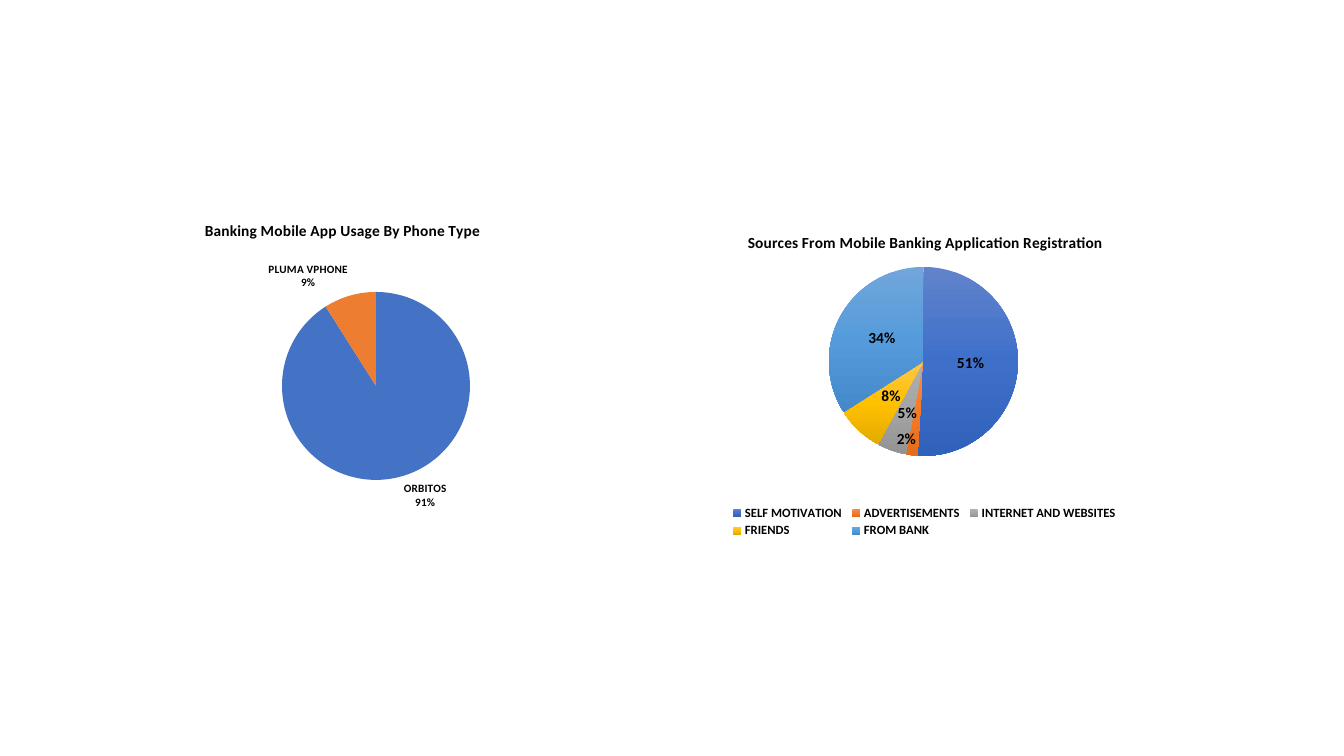
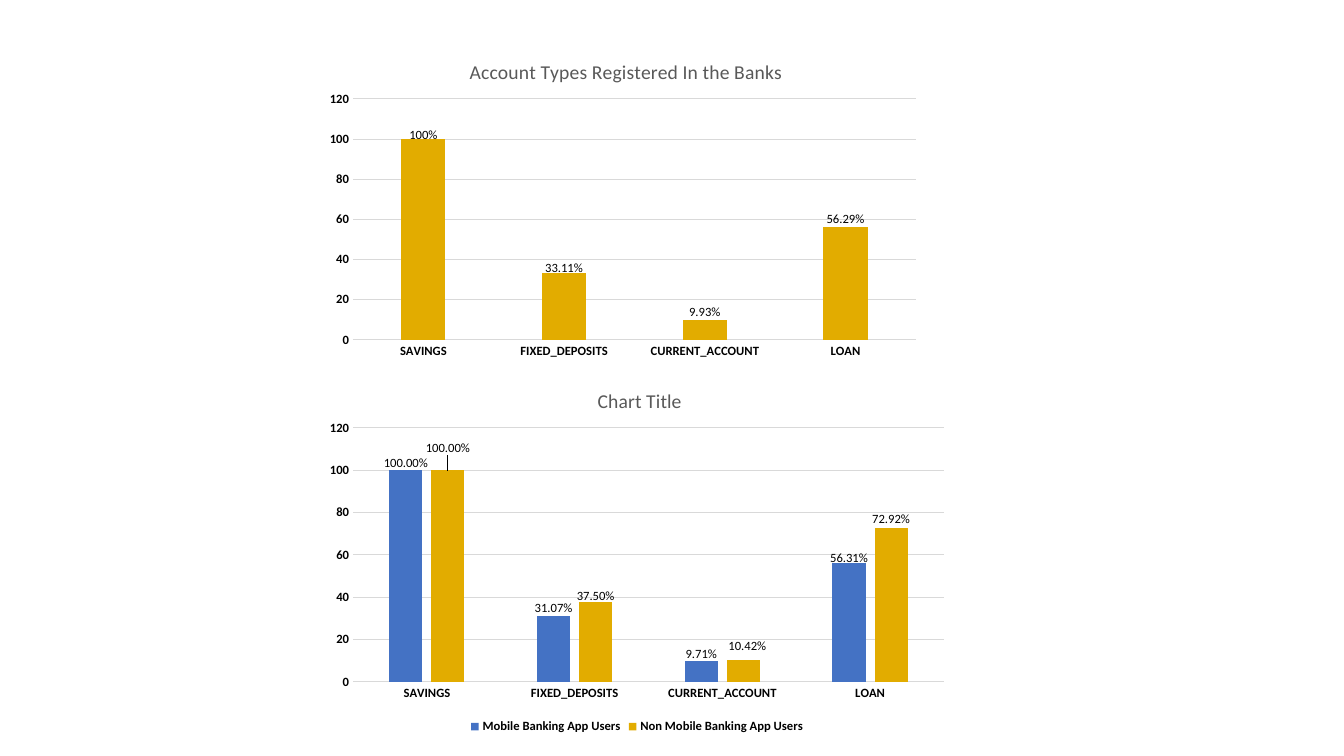
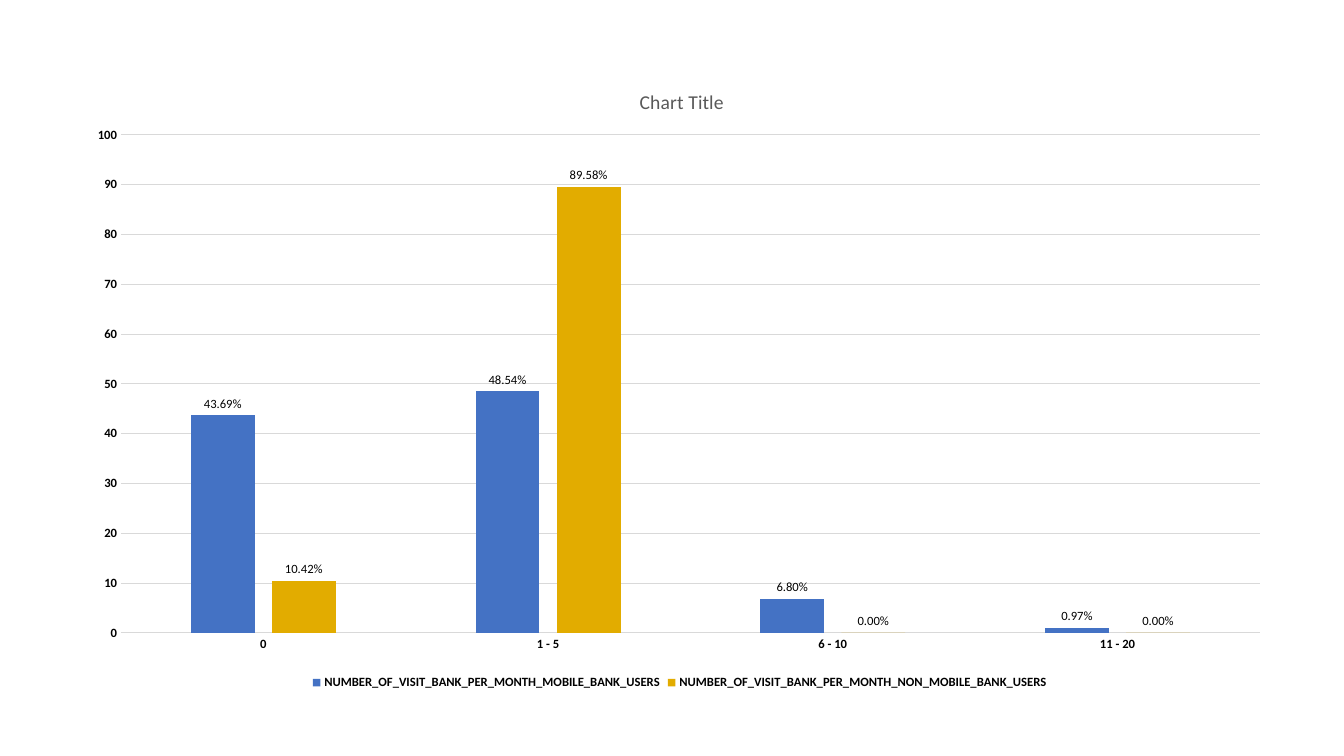
"""Build three pages of survey charts about mobile banking."""
import collections
import copy

import lxml.etree
import pptx
import pptx.chart.data
import pptx.dml.color
import pptx.enum.chart
import pptx.oxml.ns
import pptx.util

EMU_PER_PX = 914400 / 100.8
FONT = "Calibri"
COLOURS = {
    "text": "000000",
    "muted": "595959",
    "grid": "D9D9D9",
    "blue": "4472C4",
    "orange": "ED7D31",
    "gold": "E2AC00",
}
GRADIENTS = [
    ("6183CB", "3E70CA", "3062BB"),
    ("F18C57", "F67B28", "E56C19"),
    ("AFAFAF", "A5A5A5", "939393"),
    ("FFC64B", "FFC000", "E3AB00"),
    ("71A6DB", "559BDB", "448ACA"),
]
ACCOUNTS = ["SAVINGS", "FIXED_DEPOSITS", "CURRENT_ACCOUNT", "LOAN"]
VISITS = ["0", "1 - 5", "6 - 10", "11 - 20"]
POSITION = pptx.enum.chart.XL_LABEL_POSITION
CHART_TYPE = pptx.enum.chart.XL_CHART_TYPE
Box = collections.namedtuple("Box", "left top width height")


def px(length):
    """Turn pixels into EMU."""
    return pptx.util.Emu(round(length * EMU_PER_PX))


def rgb(value):
    """Turn a hex string into a colour."""
    return pptx.dml.color.RGBColor.from_string(value)


def style_font(font, size, bold=False, colour="text"):
    """Set face, size, weight and colour of a font."""
    font.name = FONT
    font.size = pptx.util.Pt(size)
    font.bold = bold
    font.color.rgb = rgb(COLOURS[colour])


def set_layout(parent, index, box, **lengths):
    """Give a chart part a manual layout, with lengths in px of the chart box."""
    qn = pptx.oxml.ns.qn
    for old in parent.findall(qn("c:layout")):
        parent.remove(old)
    layout = lxml.etree.Element(qn("c:layout"))
    manual = lxml.etree.SubElement(layout, qn("c:manualLayout"))
    if "inner" in lengths:
        lxml.etree.SubElement(manual, qn("c:layoutTarget")).set("val", "inner")
        lengths.pop("inner")
    if lengths.pop("edge", True):
        for mode in ("xMode", "yMode"):
            lxml.etree.SubElement(manual, qn("c:" + mode)).set("val", "edge")
    for name, length in lengths.items():
        total = box.width if name in "xw" else box.height
        lxml.etree.SubElement(manual, qn("c:" + name)).set("val", f"{length / total:.4f}")
    parent.insert(index, layout)


def nudge_labels(labels, box, nudges):
    """Shift single data labels from their usual place by px."""
    qn = pptx.oxml.ns.qn
    group = labels._element
    shared = [child for child in group if child.tag != qn("c:showLeaderLines")]
    for order, (index, (right, down)) in enumerate(sorted(nudges.items())):
        label = lxml.etree.Element(qn("c:dLbl"))
        lxml.etree.SubElement(label, qn("c:idx")).set("val", str(index))
        label.extend([copy.deepcopy(child) for child in shared])
        set_layout(label, 1, box, edge=False, x=right, y=down)
        group.insert(order, label)


def add_chart(page, kind, box, plot, title, title_at, title_style, categories, series):
    """Add a chart with its title and plot area and return it."""
    data = pptx.chart.data.CategoryChartData()
    data.categories = categories
    for name, values in series:
        data.add_series(name, values)
    chart = page.shapes.add_chart(kind, *map(px, box), data).chart
    style_font(chart.font, 10)
    chart.has_legend = False
    chart.has_title = True
    chart.chart_title.text_frame.text = title
    for span in chart.chart_title.text_frame.paragraphs[0].runs:
        style_font(span.font, *title_style)
    set_layout(chart.chart_title._element, 1, box, x=title_at[0], y=title_at[1])
    area = chart._chartSpace.find(".//" + pptx.oxml.ns.qn("c:plotArea"))
    set_layout(area, 0, box, inner=True, x=plot.left, y=plot.top, w=plot.width, h=plot.height)
    return chart


def add_legend(chart):
    """Put a legend below the plot."""
    chart.has_legend = True
    chart.legend.position = pptx.enum.chart.XL_LEGEND_POSITION.BOTTOM
    chart.legend.include_in_layout = False
    style_font(chart.legend.font, 9, True)


def add_pie(page, box, plot, title, title_at, categories, values, label_size, position):
    """Add a pie chart with percent labels and return it."""
    chart = add_chart(page, CHART_TYPE.PIE, box, plot, title, title_at, (11, True),
                      categories, [("Series 1", values)])
    chart.plots[0].vary_by_categories = True
    labels = chart.plots[0].series[0].data_labels
    labels.show_value = False
    labels.show_percentage = True
    labels.number_format = "0%"
    labels.number_format_is_linked = False
    labels.position = position
    style_font(labels.font, label_size, True)
    return chart


def add_phone_pie(page, box):
    """Add the pie of phone types."""
    chart = add_pie(page, box, Box(225, 84, 188, 188),
                    "Banking Mobile App Usage By Phone Type", (145, 9),
                    ["ORBITOS", "PLUMA VPHONE"], [91, 9], 8, POSITION.OUTSIDE_END)
    series = chart.plots[0].series[0]
    for index, colour in enumerate(("blue", "orange")):
        fill = series.points[index].format.fill
        fill.solid()
        fill.fore_color.rgb = rgb(COLOURS[colour])
    series.data_labels.show_category_name = True
    qn = pptx.oxml.ns.qn
    separator = lxml.etree.Element(qn("c:separator"))
    separator.text = "\n"
    group = series.data_labels._element
    last_flag = [child for child in group
                 if child.tag in (qn("c:showPercent"), qn("c:showBubbleSize"))][-1]
    last_flag.addnext(separator)


def add_source_pie(page, box):
    """Add the pie of registration sources."""
    chart = add_pie(page, box, Box(213, 54, 189, 189),
                    "Sources From Mobile Banking Application Registration", (129, 16),
                    ["SELF MOTIVATION", "ADVERTISEMENTS", "INTERNET AND WEBSITES",
                     "FRIENDS", "FROM BANK"],
                    [51, 2, 5, 8, 34], 11, POSITION.CENTER)
    series = chart.plots[0].series[0]
    fills = [series.points[index].format.fill for index in range(len(GRADIENTS))]
    for fill in fills:
        fill.gradient()
        fill.gradient_angle = 270
    for stops in series._element.iter(pptx.oxml.ns.qn("a:gsLst")):
        stops.insert(1, copy.deepcopy(stops[0]))
    for fill, shades in zip(fills, GRADIENTS):
        for stop, shade, place in zip(fill.gradient_stops, shades, (0, 0.5, 1)):
            stop.color.rgb = rgb(shade)
            stop.position = place
    nudge_labels(series.data_labels, box, {1: (-11, 31), 2: (0, 7)})
    add_legend(chart)
    set_layout(chart.legend._element, 1, box, x=111, y=290, w=395, h=38)


def style_axes(chart, top, step):
    """Style both axes and the grid of a column chart."""
    for axis in (chart.category_axis, chart.value_axis):
        axis.major_tick_mark = pptx.enum.chart.XL_TICK_MARK.NONE
        axis.minor_tick_mark = pptx.enum.chart.XL_TICK_MARK.NONE
        style_font(axis.tick_labels.font, 9, True)
    chart.value_axis.minimum_scale = 0
    chart.value_axis.maximum_scale = top
    chart.value_axis.major_unit = step
    chart.value_axis.has_major_gridlines = True
    chart.value_axis.format.line.fill.background()
    for line in (chart.category_axis.format.line, chart.value_axis.major_gridlines.format.line):
        line.color.rgb = rgb(COLOURS["grid"])
        line.width = pptx.util.Pt(0.75)


def add_columns(page, box, plot, title, title_at, categories, series, colours,
                top, step, number_format='0.00"%"', nudges=()):
    """Add a clustered column chart with percent labels."""
    chart = add_chart(page, CHART_TYPE.COLUMN_CLUSTERED, box, plot, title, title_at,
                      (14, False, "muted"), categories, series)
    columns = chart.plots[0]
    columns.vary_by_categories = False
    columns.gap_width = 219
    columns.overlap = -27
    style_axes(chart, top, step)
    for group, colour in zip(columns.series, colours):
        group.format.fill.solid()
        group.format.fill.fore_color.rgb = rgb(COLOURS[colour])
        labels = group.data_labels
        labels.show_value = True
        labels.number_format = number_format
        labels.number_format_is_linked = False
        labels.position = POSITION.OUTSIDE_END
        style_font(labels.font, 9)
    for group, shifts in zip(columns.series, nudges):
        nudge_labels(group.data_labels, box, dict(enumerate(shifts)))
    if len(series) > 1:
        add_legend(chart)


def build_pie_page(page):
    """Place the two pies side by side."""
    add_phone_pie(page, Box(57, 208, 615, 318))
    add_source_pie(page, Box(616, 213, 615, 331))


def build_account_page(page):
    """Stack the two charts of account types."""
    add_columns(page, Box(317, 37, 611, 328), Box(36, 62, 563, 241),
                "Account Types Registered In the Banks", (149, 18), ACCOUNTS,
                [("Series 1", [100, 33.11, 9.93, 56.29])], ["gold"], 120, 20,
                'General"%"', [[(0, 7), (0, 6), (0, 4), (0, 4)]])
    add_columns(page, Box(317, 365, 640, 373), Box(36, 63, 591, 254),
                "Chart Title", (277, 19), ACCOUNTS,
                [("Mobile Banking App Users", [100, 31.07, 9.71, 56.31]),
                 ("Non Mobile Banking App Users", [100, 37.5, 10.42, 72.92])],
                ["blue", "gold"], 120, 20,
                nudges=[[(0, 4), (0, 4), (0, 4), (0, 7)],
                        [(0, -11), (0, 5), (4, -2), (0, 3)]])


def build_visit_page(page):
    """Fill the page with the chart of bank visits."""
    add_columns(page, Box(74, 61, 1211, 633), Box(47, 74, 1139, 498),
                "Chart Title", (562, 24), VISITS,
                [("NUMBER_OF_VISIT_BANK_PER_MONTH_MOBILE_BANK_USERS",
                  [43.69, 48.54, 6.8, 0.97]),
                 ("NUMBER_OF_VISIT_BANK_PER_MONTH_NON_MOBILE_BANK_USERS",
                  [10.42, 89.58, 0, 0])],
                ["blue", "gold"], 100, 10)


def main():
    """Build and save the deck."""
    deck = pptx.Presentation()
    deck.slide_width, deck.slide_height = px(1344), px(756)
    for build in (build_pie_page, build_account_page, build_visit_page):
        build(deck.slides.add_slide(deck.slide_layouts[6]))
    deck.save("out.pptx")


if __name__ == "__main__":
    main()
